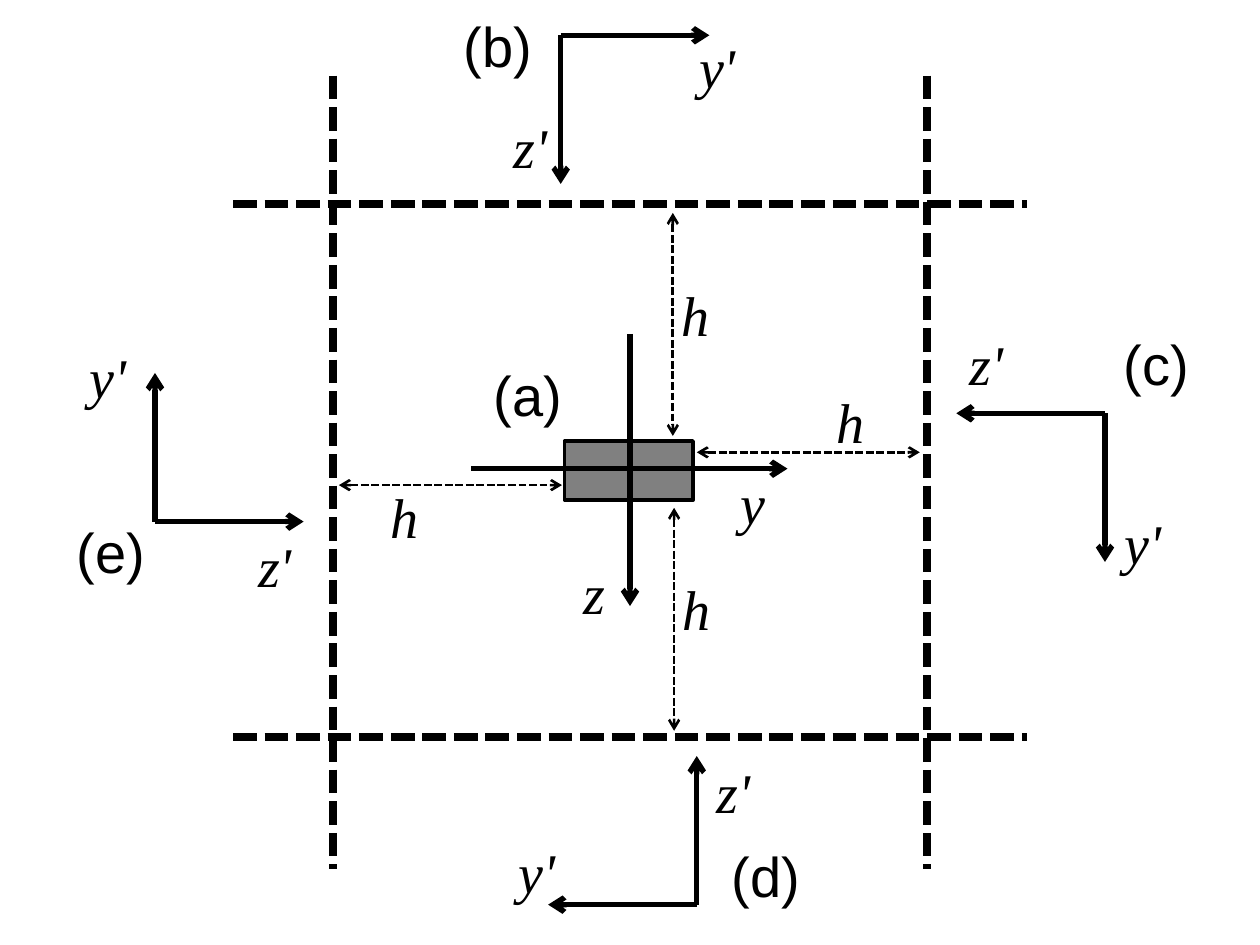
import lxml.etree
import pptx
import pptx.dml.color
import pptx.enum.dml
import pptx.enum.shapes
import pptx.enum.text
import pptx.oxml.ns
import pptx.util
from pptx.util import Inches

THEME = {
    "ink": pptx.dml.color.RGBColor(0x00, 0x00, 0x00),
    "source": pptx.dml.color.RGBColor(0x80, 0x80, 0x80),
    "symbol_font": "Times New Roman",
    "label_font": "Arial",
    "text_size": 32,
    "box_line": 2,
    "axis_line": 3,
    "wall_line": 4.5,
    "distance_line": 1.5,
}
TEXT_HEIGHT = 0.64
AXIS_LENGTH = 1.18

SOURCE_BOX = (4.48, 3.5, 1.02, 0.47)
SOURCE_AXES = [((3.74, 3.72), (6.25, 3.72)), ((5, 2.65), (5, 4.81))]

# Walls: two vertical and two horizontal lines with shared extents
VERTICAL_WALLS, VERTICAL_SPAN = (2.64, 7.36), (0.6, 6.9)
HORIZONTAL_WALLS, HORIZONTAL_SPAN = (1.62, 5.85), (1.85, 8.15)

# Rotated frames: origin, y' direction, z' direction, y' label, z' label
FRAMES = [
    ((8.77, 3.28), (0, 1), (-1, 0), (8.83, 3.99), (7.6, 2.57)),
    ((5.53, 7.18), (-1, 0), (0, -1), (4.02, 6.6), (5.59, 5.96)),
    ((1.23, 4.14), (0, -1), (1, 0), (0.61, 2.67), (1.95, 4.17)),
    ((4.45, 0.28), (1, 0), (0, 1), (5.45, 0.21), (3.98, 0.84)),
]

# Distances: start, end, label position
DISTANCES = [
    ((5.34, 1.69), (5.34, 3.46), (5.31, 2.18)),
    ((2.69, 3.85), (4.46, 3.85), (3, 3.78)),
    ((5.53, 3.59), (7.3, 3.59), (6.54, 3.03)),
    ((5.35, 4.03), (5.35, 5.8), (5.32, 4.51)),
]

SYMBOL_WIDTHS = {"y": 0.4, "z": 0.38, "y'": 0.5, "z'": 0.47, "h": 0.43}
SOURCE_LABELS = [("y", (5.78, 3.67)), ("z", (4.53, 4.38))]
PANEL_LABELS = [
    ("(a)", (3.82, 2.81), 0.75),
    ("(b)", (3.58, 0.04), 0.75),
    ("(c)", (8.82, 2.57), 0.72),
    ("(d)", (5.71, 6.63), 0.75),
    ("(e)", (0.51, 4.06), 0.75),
]


def add_line(slide, start, end, width, dashed=False, arrow_ends=()):
    """Draw a straight line; arrow_ends holds "headEnd" (start) and/or "tailEnd" (end)."""
    connector = slide.shapes.add_connector(
        pptx.enum.shapes.MSO_CONNECTOR.STRAIGHT,
        *(Inches(value) for value in (*start, *end)))
    connector.line.color.rgb = THEME["ink"]
    connector.line.width = pptx.util.Pt(width)
    if dashed:
        connector.line.dash_style = pptx.enum.dml.MSO_LINE.SQUARE_DOT
    properties = connector._element.spPr
    outline = properties.find(pptx.oxml.ns.qn("a:ln"))
    for arrow_end in arrow_ends:
        lxml.etree.SubElement(
            outline, pptx.oxml.ns.qn(f"a:{arrow_end}"), type="arrow")
    lxml.etree.SubElement(properties, pptx.oxml.ns.qn("a:effectLst"))


def add_text(slide, text, position, width, font_name, italic):
    left, top = position
    box = slide.shapes.add_textbox(
        Inches(left), Inches(top), Inches(width), Inches(TEXT_HEIGHT))
    frame = box.text_frame
    frame.word_wrap = False
    frame.auto_size = pptx.enum.text.MSO_AUTO_SIZE.SHAPE_TO_FIT_TEXT
    run = frame.paragraphs[0].add_run()
    run.text = text
    run.font.name = font_name
    run.font.size = pptx.util.Pt(THEME["text_size"])
    run.font.italic = italic
    run.font.color.rgb = THEME["ink"]


def add_symbol(slide, text, position):
    add_text(slide, text, position, SYMBOL_WIDTHS[text], THEME["symbol_font"], True)


def add_axis(slide, start, end):
    add_line(slide, start, end, THEME["axis_line"], arrow_ends=["tailEnd"])


def add_source(slide):
    box = slide.shapes.add_shape(
        pptx.enum.shapes.MSO_SHAPE.RECTANGLE, *(Inches(value) for value in SOURCE_BOX))
    box.shadow.inherit = False
    box.fill.solid()
    box.fill.fore_color.rgb = THEME["source"]
    box.line.color.rgb = THEME["ink"]
    box.line.width = pptx.util.Pt(THEME["box_line"])
    for text, position in SOURCE_LABELS:
        add_symbol(slide, text, position)
    for start, end in SOURCE_AXES:
        add_axis(slide, start, end)


def add_walls(slide):
    top, bottom = VERTICAL_SPAN
    left, right = HORIZONTAL_SPAN
    walls = [((x, top), (x, bottom)) for x in VERTICAL_WALLS]
    walls += [((left, y), (right, y)) for y in HORIZONTAL_WALLS]
    for start, end in walls:
        add_line(slide, start, end, THEME["wall_line"], dashed=True)


def add_frame(slide, origin, y_direction, z_direction, y_label, z_label):
    add_symbol(slide, "y'", y_label)
    add_symbol(slide, "z'", z_label)
    for direction in (y_direction, z_direction):
        tip = [start + AXIS_LENGTH * step for start, step in zip(origin, direction)]
        add_axis(slide, origin, tip)


def main():
    presentation = pptx.Presentation()
    presentation.slide_width = Inches(10)
    presentation.slide_height = Inches(7.5)
    slide = presentation.slides.add_slide(presentation.slide_layouts[6])

    add_source(slide)
    add_walls(slide)
    for frame in FRAMES:
        add_frame(slide, *frame)
    for text, position, width in PANEL_LABELS:
        add_text(slide, text, position, width, THEME["label_font"], False)
    for start, end, label in DISTANCES:
        add_line(slide, start, end, THEME["distance_line"], dashed=True,
                 arrow_ends=["headEnd", "tailEnd"])
        add_symbol(slide, "h", label)

    presentation.save("out.pptx")


if __name__ == "__main__":
    main()
